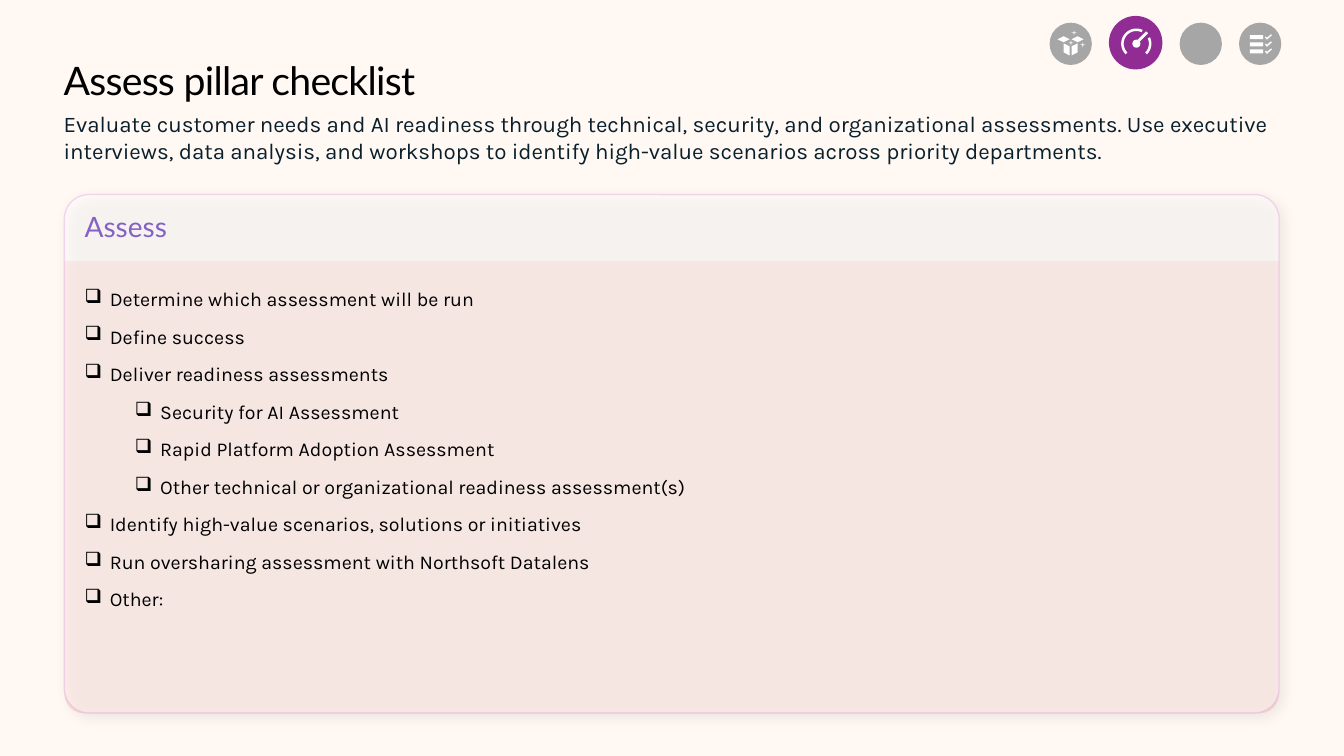
"""Build the Assess pillar checklist slide."""
import math

import lxml.etree
import pptx
import pptx.dml.color
import pptx.enum.shapes
import pptx.oxml
import pptx.oxml.ns
import pptx.util

Pt = pptx.util.Pt
RGBColor = pptx.dml.color.RGBColor
MSO = pptx.enum.shapes.MSO_SHAPE
qn = pptx.oxml.ns.qn

CREAM = RGBColor(0xFF, 0xF8, 0xF3)
PINK = RGBColor(0xFF, 0xDE, 0xD7)
WHITE = RGBColor(0xFF, 0xFF, 0xFF)
BLACK = RGBColor(0x00, 0x00, 0x00)
NAVY = RGBColor(0x09, 0x1F, 0x2C)
LILAC = RGBColor(0xE6, 0xB1, 0xE7)
VIOLET = RGBColor(0x86, 0x61, 0xC5)
PURPLE = RGBColor(0x90, 0x2C, 0x93)
GREY = RGBColor(0xA6, 0xA6, 0xA6)

prs = pptx.Presentation()
prs.slide_width, prs.slide_height = Pt(960), Pt(540)
s = prs.slides.add_slide(prs.slide_layouts[6])
s.background.fill.solid()
s.background.fill.fore_color.rgb = CREAM


def add_preset(kind, box, color):
    sp = s.shapes.add_shape(kind, *[Pt(v) for v in box])
    sp.shadow.inherit = False
    sp.fill.solid()
    sp.fill.fore_color.rgb = color
    sp.line.fill.background()
    return sp


def add_outline(points):
    start, *rest = [(Pt(x), Pt(y)) for x, y in points]
    builder = s.shapes.build_freeform(*start)
    builder.add_line_segments(rest, close=True)
    sp = builder.convert_to_shape()
    sp.shadow.inherit = False
    sp.fill.solid()
    sp.fill.fore_color.rgb = WHITE
    sp.line.fill.background()


body = add_preset(MSO.ROUND_2_SAME_RECTANGLE, (46, 186.5, 867.6, 323), PINK)
body.adjustments[0], body.adjustments[1] = 0, 0.043

panel = add_preset(MSO.ROUNDED_RECTANGLE, (46, 139, 867.6, 370.2), WHITE)
panel.adjustments[0] = 0.047
panel.line.color.rgb = LILAC
panel.line.width = Pt(1)
colors = panel._element.spPr.findall(".//" + qn("a:srgbClr"))
for clr, alpha in zip(colors, (50, 46)):
    lxml.etree.SubElement(clr, qn("a:alpha")).set("val", str(alpha * 1000))
effects = panel._element.spPr.find(qn("a:effectLst"))
shadow = lxml.etree.SubElement(effects, qn("a:outerShdw"))
for key, val in {"blurRad": Pt(10), "dist": Pt(5), "dir": 45 * 60000, "algn": "tl", "rotWithShape": 0}.items():
    shadow.set(key, str(val))
clr = lxml.etree.SubElement(shadow, qn("a:srgbClr"))
clr.set("val", str(BLACK))
lxml.etree.SubElement(clr, qn("a:alpha")).set("val", "14000")

INTRO = (
    "Evaluate customer needs and AI readiness through technical, security, and organizational assessments. "
    "Use executive interviews, data analysis, and workshops to identify high-value scenarios across priority departments."
)
CHECKLIST = [
    (0, "Determine which assessment will be run"),
    (0, "Define success"),
    (0, "Deliver readiness assessments"),
    (1, "Security for AI Assessment"),
    (1, "Rapid Platform Adoption Assessment"),
    (1, "Other technical or organizational readiness assessment(s)"),
    (0, "Identify high-value scenarios, solutions or initiatives"),
    (0, "Run oversharing assessment with Northsoft Datalens"),
    (0, "Other:"),
]
TEXTS = [
    ((45.4, 40.3, 867.6, 33.8), (0, 0, 0, 0), "Lato", 28, BLACK, [(None, "Assess pillar checklist")]),
    ((45.4, 74.2, 867.6, 43), (0, 4.5, 0, 0), "Karla", 16, NAVY, [(None, INTRO)]),
    ((46, 141.8, 445, 41), (14.4, 10.8, 10.8, 0), "Lato", 20, VIOLET, [(None, "Assess")]),
    ((46, 190, 867.6, 289.4), (14.4, 15, 14.4, 14.4), "Karla", 14, BLACK, CHECKLIST),
]
for box, insets, font, size, color, lines in TEXTS:
    tf = s.shapes.add_textbox(*[Pt(v) for v in box]).text_frame
    tf.word_wrap = True
    for side, inset in zip(("left", "top", "right", "bottom"), insets):
        setattr(tf, "margin_" + side, Pt(inset))
    for i, (level, text) in enumerate(lines):
        p = tf.add_paragraph() if i else tf.paragraphs[0]
        if level is not None:
            pPr = p._p.get_or_add_pPr()
            pPr.set("marL", str(Pt(18 + 36 * level)))
            pPr.set("indent", str(Pt(-18)))
            lxml.etree.SubElement(pPr, qn("a:buChar")).set("char", "❑")
            p.level = level
            p.space_before = Pt(4 if i else 0)
            p.space_after = Pt(6)
        r = p.add_run()
        r.text = text
        for key, val in {"name": font, "size": Pt(size)}.items():
            setattr(r.font, key, val)
        r.font.color.rgb = color
        if size == 28:
            r._r.get_or_add_rPr().set("spc", "-50")
        if size == 20:
            p.line_spacing = 0.9

for x, y, diameter, color in [
    (749.7, 16.2, 30.2, GREY),
    (792.1, 11.4, 38.2, PURPLE),
    (842.6, 16.2, 30.2, GREY),
    (885, 16.2, 30.2, GREY),
]:
    add_preset(MSO.OVAL, (x, y, diameter, diameter), color)

for row in range(3):
    y = 24.5 + 5.04 * row
    add_preset(MSO.RECTANGLE, (892.8, y + 0.7, 9.4, 2.9), WHITE)
    tick = [(4.3, 0), (1.4, 2.5), (0.7, 1.6), (0, 2.3), (1.4, 3.9), (5, 0.7)]
    add_outline([(903.6 + dx, y + dy) for dx, dy in tick])

DIAL_X, DIAL_Y = 811.7, 31.2
for first, last in [(135, 295), (335, 405)]:
    steps = [math.radians(a) for a in range(first, last + 1, 5)]
    rim = [(10.8, a) for a in steps] + [(9, a) for a in reversed(steps)]
    add_outline([(DIAL_X + radius * math.cos(a), DIAL_Y + radius * math.sin(a)) for radius, a in rim])
add_outline([(812.6, 28.4), (818.6, 22.4), (820.1, 23.8), (814, 29.8)])
add_preset(MSO.OVAL, (DIAL_X - 2.9, DIAL_Y - 2.9, 5.8, 5.8), WHITE)

BOX_X = 764.7
for side in (-1, 1):
    lid = [(0.7, 28.1), (5, 25.9), (9.3, 28.1), (5, 30.2)]
    front = [(0.7, 33.1), (5, 31), (5, 37.4), (0.7, 39.6)]
    for face in (lid, front):
        add_outline([(BOX_X + side * dx, y) for dx, y in face])
for x, y in [(765.4, 21.6), (763.2, 28.8), (771.6, 30.2)]:
    add_preset(MSO.STAR_4_POINT, (x, y, 3.6, 3.6), WHITE)

prs.save("out.pptx")
